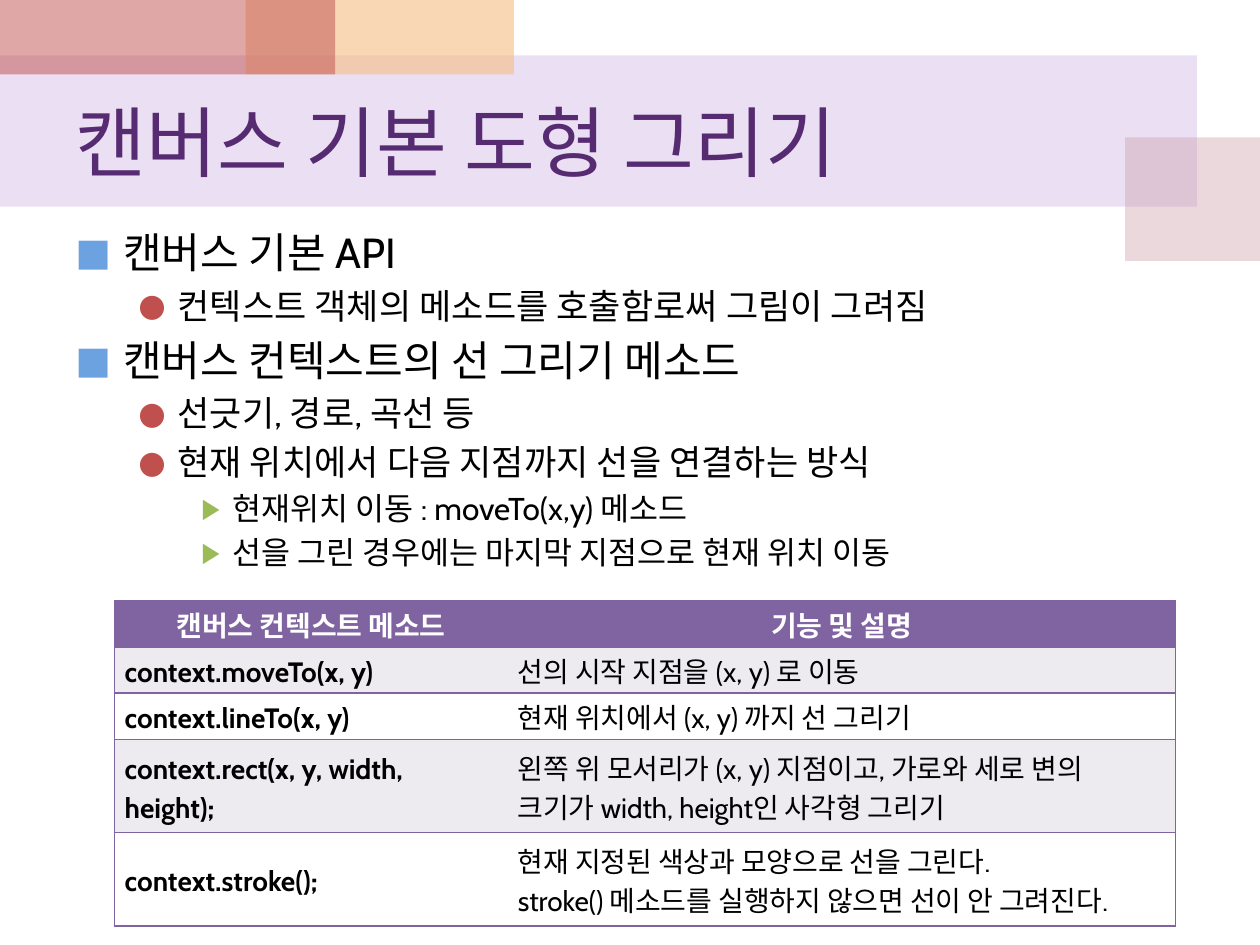
from dataclasses import dataclass

from lxml.etree import SubElement
from pptx import Presentation
from pptx.dml.color import RGBColor
from pptx.enum.shapes import MSO_SHAPE
from pptx.enum.text import MSO_ANCHOR, PP_ALIGN
from pptx.oxml import parse_xml
from pptx.oxml.ns import nsdecls, qn
from pptx.util import Inches, Pt


@dataclass(frozen=True)
class Theme:
    """Hold the colours, type sizes and bullets of the slide."""
    font: str = "Cabin"
    title: str = "562B71"
    ink: str = "000000"
    white: str = "FFFFFF"
    rule: str = "8064A2"
    band: str = "EDEAF0"
    head: int = 44
    cell: int = 16
    levels: tuple = (
        (24, "■", "6BA2DF", 0.38, -0.38),
        (20, "●", "C0504D", 0.81, -0.31),
        (18, "▶", "9BBB59", 1.25, -0.25),
    )


THEME = Theme()

BLOCKS = (
    (0, 0.44, 9.5, 1.2, "BF98D8", 30),
    (8.93, 1.09, 1.07, 0.98, "CC9EAC", 40),
    (1.95, 0, 2.13, 0.59, "F5BC83", 60),
    (0, 0, 2.66, 0.59, "C0504D", 50),
)

POINTS = (
    (0, "캔버스 기본 API"),
    (1, "컨텍스트 객체의 메소드를 호출함로써 그림이 그려짐"),
    (0, "캔버스 컨텍스트의 선 그리기 메소드"),
    (1, "선긋기, 경로, 곡선 등"),
    (1, "현재 위치에서 다음 지점까지 선을 연결하는 방식"),
    (2, "현재위치 이동 : moveTo(x,y) 메소드"),
    (2, "선을 그린 경우에는 마지막 지점으로 현재 위치 이동"),
)

ROWS = (
    (0.37, "캔버스 컨텍스트 메소드", "기능 및 설명"),
    (0.36, "context.moveTo(x, y)", "선의 시작 지점을 (x, y) 로 이동"),
    (0.37, "context.lineTo(x, y)", "현재 위치에서 (x, y) 까지 선 그리기"),
    (0.74, "context.rect(x, y, width, height);",
     "왼쪽 위 모서리가 (x, y) 지점이고, 가로와 세로 변의 크기가 width, height인 사각형 그리기"),
    (0.74, "context.stroke();",
     "현재 지정된 색상과 모양으로 선을 그린다.\nstroke() 메소드를 실행하지 않으면 선이 안 그려진다."),
)


def write(para, text, *, size, color=THEME.ink, bold=False, align=PP_ALIGN.LEFT, line=1.0, before=0):
    """Write one run of text into a paragraph with its format."""
    para.alignment, para.line_spacing, para.space_before = align, line, Pt(before)
    run = para.add_run()
    run.text = text
    font = run.font
    font.name, font.size, font.bold = THEME.font, Pt(size), bold
    font.color.rgb = RGBColor.from_string(color)
    SubElement(run._r.get_or_add_rPr(), qn("a:ea"), typeface=THEME.font)


def add_block(slide, left, top, width, height, color, alpha):
    """Add a see-through rectangle without outline."""
    shape = slide.shapes.add_shape(
        MSO_SHAPE.RECTANGLE, Inches(left), Inches(top), Inches(width), Inches(height))
    shape.shadow.inherit = False
    shape.line.fill.background()
    shape.fill.solid()
    shape.fill.fore_color.rgb = RGBColor.from_string(color)
    tint = shape.fill._xPr.find(qn("a:solidFill"))[0]
    SubElement(tint, qn("a:alpha"), val=str(alpha * 1000))


def add_box(slide, left, top, width, height, anchor):
    """Add a wrapping text box and return its frame."""
    box = slide.shapes.add_textbox(Inches(left), Inches(top), Inches(width), Inches(height))
    frame = box.text_frame
    frame.word_wrap, frame.vertical_anchor = True, anchor
    return frame


def add_point(para, level, text):
    """Fill a paragraph with a bullet of the given level."""
    size, mark, color, left, indent = THEME.levels[level]
    para.level = level
    write(para, text, size=size, before=size * 0.2)
    props = para._p.get_or_add_pPr()
    props.set("marL", str(Inches(left)))
    props.set("indent", str(Inches(indent)))
    tint = SubElement(props, qn("a:buClr"))
    SubElement(tint, qn("a:srgbClr"), val=color)
    SubElement(props, qn("a:buSzPct"), val="90000")
    SubElement(props, qn("a:buFont"), typeface=THEME.font)
    SubElement(props, qn("a:buChar"), char=mark)


def set_edges(cell, sides):
    """Draw the named cell sides and clear the others."""
    props = cell._tc.get_or_add_tcPr()
    for spot, side in enumerate("LRTB"):
        fill = (f'<a:solidFill><a:srgbClr val="{THEME.rule}"/></a:solidFill>'
                if side in sides else "<a:noFill/>")
        props.insert(spot, parse_xml(
            f'<a:ln{side} {nsdecls("a")} w="{Pt(1)}">{fill}</a:ln{side}>'))


def fill_cell(cell, text, *, fill, sides, **style):
    """Set the fill, edges, margins and text of a cell."""
    cell.fill.solid()
    cell.fill.fore_color.rgb = RGBColor.from_string(fill)
    set_edges(cell, sides)
    cell.vertical_anchor = MSO_ANCHOR.MIDDLE
    cell.margin_left = cell.margin_right = Inches(0.08)
    cell.margin_top = cell.margin_bottom = 0
    frame = cell.text_frame
    for spot, part in enumerate(text.split("\n")):
        para = frame.add_paragraph() if spot else frame.paragraphs[0]
        write(para, part, size=THEME.cell, line=1.15, **style)


def add_grid(slide):
    """Add the table of context methods."""
    grid = slide.shapes.add_table(
        len(ROWS), 2, Inches(0.91), Inches(4.77), Inches(8.42), Inches(2.58)).table
    grid.horz_banding = False
    for col, width in zip(grid.columns, (3.12, 5.3)):
        col.width = Inches(width)
    for r, (height, *texts) in enumerate(ROWS):
        grid.rows[r].height = Inches(height)
        for c, text in enumerate(texts):
            if r == 0:
                style = dict(fill=THEME.rule, color=THEME.white, bold=True, align=PP_ALIGN.CENTER)
            else:
                style = dict(fill=THEME.band if r % 2 else THEME.white, bold=c == 0)
            fill_cell(grid.cell(r, c), text, sides="RTB" if c else "LTB", **style)


def main():
    """Build the slide and save it."""
    deck = Presentation()
    deck.slide_width, deck.slide_height = Inches(10), Inches(7.5)
    slide = deck.slides.add_slide(deck.slide_layouts[6])
    for block in BLOCKS:
        add_block(slide, *block)
    title = add_box(slide, 0.5, 0.59, 9, 1.05, MSO_ANCHOR.MIDDLE)
    write(title.paragraphs[0], "캔버스 기본 도형 그리기", size=THEME.head, color=THEME.title)
    body = add_box(slide, 0.5, 1.75, 9, 4.95, MSO_ANCHOR.TOP)
    for spot, point in enumerate(POINTS):
        add_point(body.add_paragraph() if spot else body.paragraphs[0], *point)
    add_grid(slide)
    deck.save("out.pptx")


if __name__ == "__main__":
    main()
